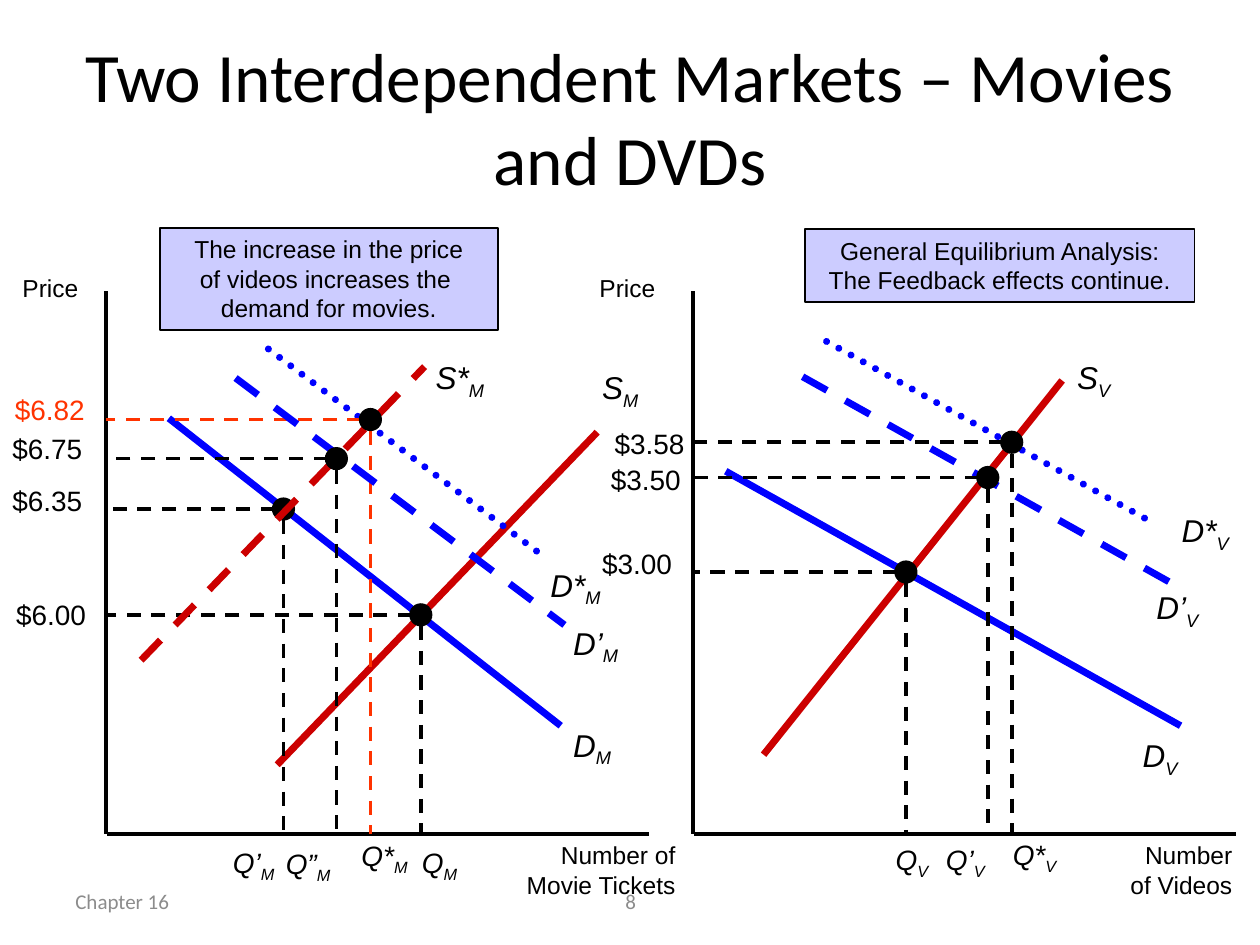
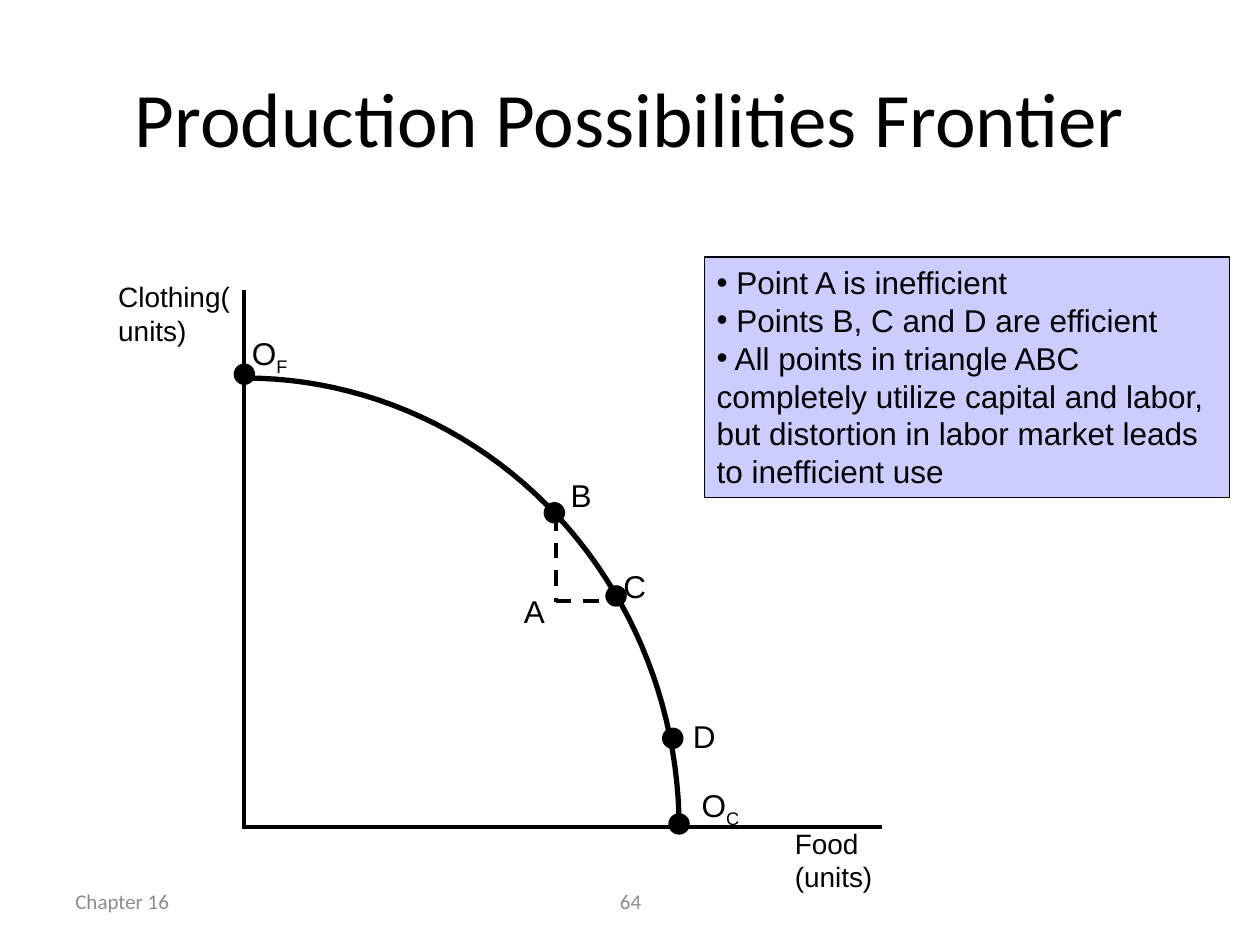
import math
from lxml import etree
from pptx import Presentation
from pptx.dml.color import RGBColor
from pptx.enum.dml import MSO_LINE
from pptx.enum.shapes import MSO_CONNECTOR, MSO_SHAPE
from pptx.enum.text import MSO_ANCHOR, PP_ALIGN
from pptx.oxml.ns import qn
from pptx.util import Inches, Pt

BLACK = RGBColor(0x00, 0x00, 0x00)
GREY = RGBColor(0x8C, 0x8C, 0x8C)
BLUE = RGBColor(0x00, 0x00, 0xFF)
RED = RGBColor(0xCC, 0x00, 0x00)
ORANGE = RGBColor(0xFF, 0x33, 0x00)
LILAC = RGBColor(0xCC, 0xCC, 0xFF)
STRAIGHT = MSO_CONNECTOR.STRAIGHT
OVAL, RECT = MSO_SHAPE.OVAL, MSO_SHAPE.RECTANGLE
DASH, DOT = MSO_LINE.DASH, MSO_LINE.ROUND_DOT
LEFT, CENTER, RIGHT = PP_ALIGN.LEFT, PP_ALIGN.CENTER, PP_ALIGN.RIGHT
TOP, MIDDLE = MSO_ANCHOR.TOP, MSO_ANCHOR.MIDDLE

# ---- Content: "D_M" is D with subscript M ----
CHAPTER = "Chapter 16"
MARKETS_TITLE = "Two Interdependent Markets – Movies and DVDs"
FRONTIER_TITLE = "Production Possibilities Frontier"

# Curve: start, end, colour, dash, label, label box
# Equilibrium: centre, colour, price, price corner, quantity, quantity box
MOVIES = {
    "axis_x": 0.84,
    "price_box": (0.08, 2.12, 0.67, 0.33),
    "quantity": (["Number of", "Movie Tickets"], (3.99, 6.62, 1.47, 0.56)),
    "note": (["The increase in the price", "of videos increases the ",
              "demand for movies."], (1.27, 1.81, 2.68, 0.81)),
    "steps": [
        ([((1.34, 3.32), (4.45, 5.76), BLUE, None, "D_M", (4.45, 5.71, 0.52, 0.4)),
          ((2.2, 6.07), (4.74, 3.43), RED, None, "S_M", (4.68, 2.87, 0.5, 0.4))],
         [((3.34, 4.88), BLACK, "$6.00", (0.03, 4.69),
           "Q_M", (3.25, 6.66, 0.5, 0.36)),
          ((2.25, 4.04), BLACK, "$6.35", (0, 3.79),
           "Q’_M", (1.75, 6.66, 0.56, 0.36))]),
        ([((1.12, 5.24), (3.37, 2.91), RED, DASH, "S*_M", (3.36, 2.79, 0.6, 0.4))], []),
        ([((2.13, 2.77), (4.32, 4.42), BLUE, DOT, "D*_M", (4.27, 4.44, 0.61, 0.4))],
         [((2.94, 3.33), ORANGE, "$6.82", (0.02, 3.07),
           "Q*_M", (2.77, 6.61, 0.59, 0.36))]),
        ([((1.87, 3), (4.48, 4.96), BLUE, DASH, "D’_M", (4.45, 4.9, 0.59, 0.4))],
         [((2.67, 3.64), BLACK, "$6.75", (0, 3.38),
           "Q”_M", (2.17, 6.67, 0.61, 0.36))]),
    ],
}
VIDEOS = {
    "axis_x": 5.5,
    "price_box": (4.66, 2.12, 0.67, 0.33),
    "quantity": (["Number", "of Videos"], (8.81, 6.62, 1.07, 0.56)),
    "note": (["General Equilibrium Analysis:", "The Feedback effects continue."],
             (6.39, 1.82, 3.09, 0.58)),
    "steps": [
        ([((6.37, 2.99), (9.39, 4.68), BLUE, DASH, "D’_V", (9.08, 4.62, 0.56, 0.4))], []),
        ([((5.76, 3.74), (9.37, 5.76), BLUE, None, "D_V", (8.97, 5.79, 0.49, 0.4)),
          ((6.06, 5.99), (8.43, 3.02), RED, None, "S_V", (8.45, 2.79, 0.48, 0.4))],
         [((7.19, 4.54), BLACK, "$3.00", (4.68, 4.29),
           "Q_V", (7.01, 6.64, 0.47, 0.36)),
          ((7.84, 3.79), BLACK, "$3.50", (4.75, 3.62),
           "Q’_V", (7.41, 6.64, 0.54, 0.36))]),
        ([((6.56, 2.71), (9.17, 4.16), BLUE, DOT, "D*_V", (9.28, 4.01, 0.59, 0.4))],
         [((8.03, 3.51), BLACK, "$3.58", (4.78, 3.34),
           "Q*_V", (7.94, 6.6, 0.56, 0.36))]),
    ],
}
AXIS_TOP, AXIS_BOTTOM, AXIS_LENGTH = 2.31, 6.62, 4.31
PRICE_SIZE = (0.85, 0.36)

FRONTIER_ORIGIN, FRONTIER_RADII = (1.94, 6.58), (3.45, 3.58)
FRONTIER_LINES = [  # start, end, dash
    ((1.94, 2.3), (1.94, 6.58), None),
    ((1.94, 6.56), (7, 6.56), None),
    ((4.41, 4.09), (4.41, 4.78), DASH),
    ((4.41, 4.77), (4.89, 4.77), DASH),
]
FRONTIER_POINTS = [(1.94, 2.97), (5.39, 6.54), (4.4, 4.07), (4.89, 4.73), (5.34, 5.86)]
FRONTIER_LABELS = [  # text, size, box
    ("Clothing(units)", 16, (0.84, 2.17, 1.14, 0.64)),
    ("Food (units)", 16, (6.21, 6.51, 1.14, 0.64)),
    ("O_F", 18, (1.9, 2.6, 0.73, 0.4)),
    ("O_C", 18, (5.47, 6.19, 0.56, 0.4)),
    ("D", 18, (5.4, 5.64, 0.56, 0.4)),
    ("C", 18, (4.85, 4.45, 0.56, 0.4)),
    ("B", 18, (4.43, 3.73, 0.56, 0.4)),
    ("A", 18, (4.06, 4.65, 0.56, 0.4)),
]
FRONTIER_NOTES = [
    " Point A is inefficient",
    " Points B, C and D are efficient",
    " All points in triangle ABC completely utilize capital and labor, "
    "but distortion in labor market leads to inefficient use",
]


# ---- Shared helpers ----
def write(sp, lines, size, color=BLACK, font="Arial", align=LEFT, anchor=TOP,
          wrap=True, italic=False, bullet=None):
    tf = sp.text_frame
    tf.word_wrap, tf.vertical_anchor = wrap, anchor
    for i, line in enumerate(lines):
        p = tf.paragraphs[0] if i == 0 else tf.add_paragraph()
        p.alignment = align
        if bullet:
            pPr = p._p.get_or_add_pPr()
            etree.SubElement(pPr, qn("a:buFont")).set("typeface", font)
            etree.SubElement(pPr, qn("a:buChar")).set("char", bullet)
        for j, part in enumerate(line.split("_")):
            r = p.add_run()
            r.text = part
            style = {"name": font, "size": Pt(size), "italic": italic}
            for key, value in style.items():
                setattr(r.font, key, value)
            r.font.color.rgb = color
            if j:
                r._r.get_or_add_rPr().set("baseline", "-25000")


def add_text(s, box, lines, size, **style):
    write(s.shapes.add_textbox(*map(Inches, box)), lines, size, **style)


def add_line(s, start, end, width, color=BLACK, dash=None):
    ln = s.shapes.add_connector(STRAIGHT, *map(Inches, (*start, *end)))
    ln.line.color.rgb, ln.line.width = color, Pt(width)
    if dash:
        ln.line.dash_style = dash
    if dash == DOT:
        ln._element.spPr.find(qn("a:ln")).set("cap", "rnd")
    etree.SubElement(ln._element.spPr, qn("a:effectLst"))


def add_filled(s, kind, box, fill, width):
    sp = s.shapes.add_shape(kind, *map(Inches, box))
    sp.shadow.inherit = False
    sp.fill.solid()
    sp.fill.fore_color.rgb = fill
    sp.line.color.rgb, sp.line.width = BLACK, Pt(width)
    return sp


def add_dot(s, center, size, width):
    x, y = center
    add_filled(s, OVAL, (x - size / 2, y - size / 2, size, size), BLACK, width)


def new_slide(prs, title, size, number):
    s = prs.slides.add_slide(prs.slide_layouts[6])
    footer = {"font": "Calibri", "color": GREY, "anchor": MIDDLE}
    add_text(s, (0.5, 6.95, 2.33, 0.4), [CHAPTER], 12, **footer)
    add_text(s, (3.42, 6.95, 3.17, 0.4), [number], 12, align=CENTER, **footer)
    add_text(s, (0.5, 0.3, 9, 1.25), [title], size, font="Calibri",
             align=CENTER, anchor=MIDDLE)
    return s


# ---- Slide parts ----
def draw_market(s, market):
    left = market["axis_x"]
    add_line(s, (left, AXIS_TOP), (left, AXIS_BOTTOM), 2)
    add_line(s, (left + 0.01, AXIS_BOTTOM), (left + AXIS_LENGTH, AXIS_BOTTOM), 2)
    add_text(s, market["price_box"], ["Price"], 14, wrap=False)
    lines, box = market["quantity"]
    add_text(s, box, lines, 14, align=RIGHT, wrap=False)

    for curves, equilibria in market["steps"]:
        for start, end, color, dash, label, box in curves:
            add_line(s, start, end, 4, color, dash)
            add_text(s, box, [label], 18, italic=True, wrap=False)
        for (x, y), color, price, corner, quantity, quantity_box in equilibria:
            add_line(s, (x - 0.07, y), (left, y), 2, color, DASH)
            add_line(s, (x, y + 0.09), (x, AXIS_BOTTOM), 2, color, DASH)
            add_dot(s, (x, y), 0.17, 1)
            add_text(s, corner + PRICE_SIZE, [price], 16, color=color)
            add_text(s, quantity_box, [quantity], 16, italic=True, wrap=False)

    lines, box = market["note"]
    write(add_filled(s, RECT, box, LILAC, 1), lines, 14, align=CENTER)


def draw_frontier(s):
    # Quarter ellipse from the clothing axis to the food axis
    (cx, cy), (rx, ry) = FRONTIER_ORIGIN, FRONTIER_RADII
    angles = [math.radians(a) for a in range(0, 91, 2)]
    points = [(Inches(cx + rx * math.sin(a)), Inches(cy - ry * math.cos(a)))
              for a in angles]
    fb = s.shapes.build_freeform(*points[0])
    fb.add_line_segments(points[1:], close=False)
    curve = fb.convert_to_shape()
    curve.shadow.inherit = False
    curve.fill.background()
    curve.line.color.rgb, curve.line.width = BLACK, Pt(3)

    for start, end, dash in FRONTIER_LINES:
        add_line(s, start, end, 2.25, dash=dash)
    for center in FRONTIER_POINTS:
        add_dot(s, center, 0.16, 0.75)
    for label, size, box in FRONTIER_LABELS:
        add_text(s, box, [label], size)
    note = add_filled(s, RECT, (5.59, 2.04, 4.17, 1.91), LILAC, 0.75)
    write(note, FRONTIER_NOTES, 18, bullet="•")


def main():
    prs = Presentation()
    prs.slide_width, prs.slide_height = Inches(10), Inches(7.5)

    s = new_slide(prs, MARKETS_TITLE, 39.6, "8")
    for market in (MOVIES, VIDEOS):
        draw_market(s, market)

    draw_frontier(new_slide(prs, FRONTIER_TITLE, 44, "64"))
    prs.save("out.pptx")


if __name__ == "__main__":
    main()
